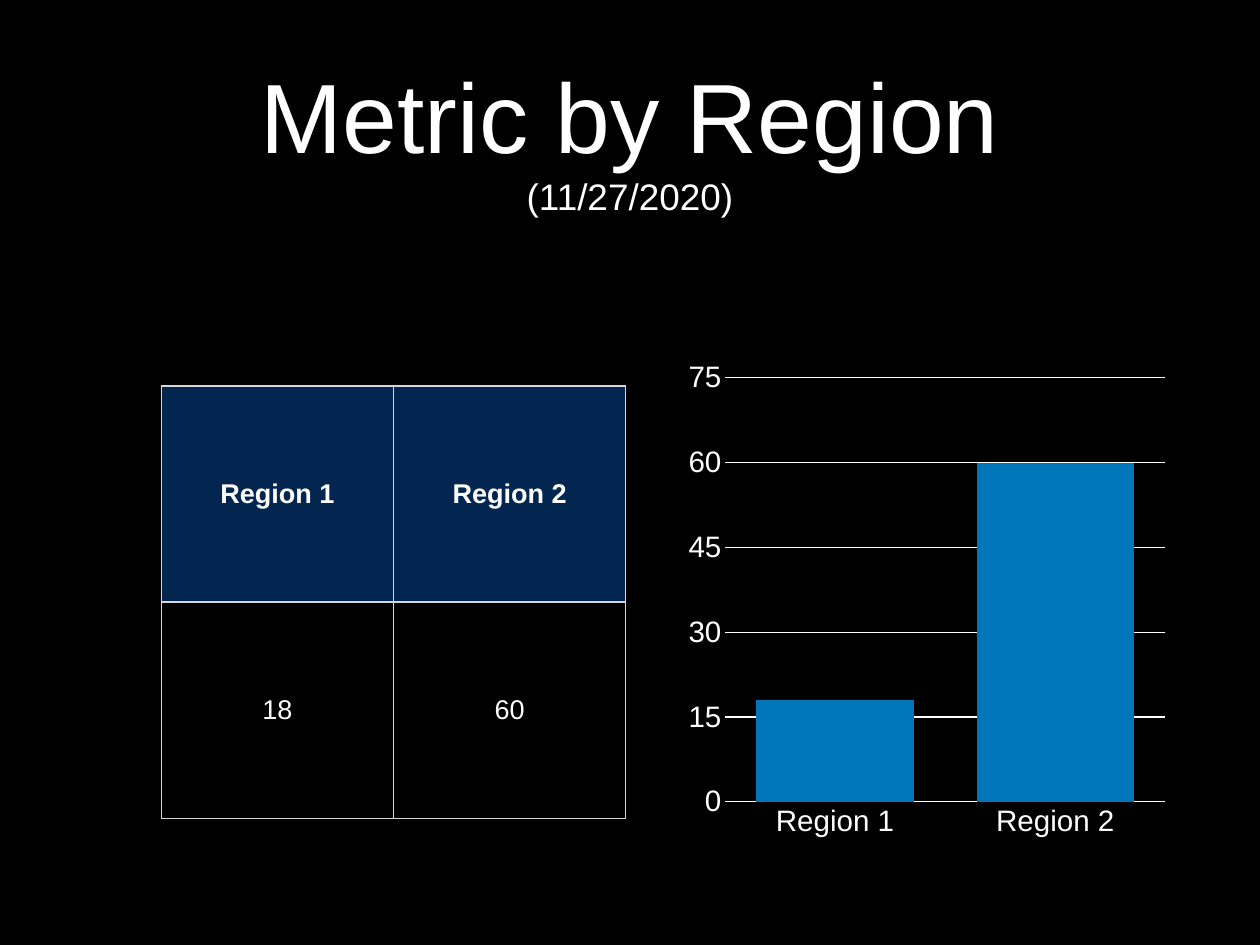
from dataclasses import dataclass

from pptx import Presentation
from pptx.chart.data import CategoryChartData
from pptx.dml.color import RGBColor
from pptx.enum.chart import XL_CHART_TYPE, XL_TICK_MARK
from pptx.enum.text import MSO_ANCHOR, MSO_AUTO_SIZE, PP_ALIGN
from pptx.oxml import parse_xml
from pptx.oxml.ns import nsdecls
from pptx.util import Cm, Pt


@dataclass(frozen=True)
class Theme:
    font: str = "Arial"
    back: RGBColor = RGBColor(0x00, 0x00, 0x00)
    text: RGBColor = RGBColor(0xFF, 0xFF, 0xFF)
    header: RGBColor = RGBColor(0x03, 0x26, 0x50)
    border: RGBColor = RGBColor(0xD6, 0xD6, 0xD6)
    bar: RGBColor = RGBColor(0x00, 0x76, 0xBA)
    title_size: int = 80
    date_size: int = 30
    axis_size: int = 24
    cell_size: int = 22


THEME = Theme()
INSET = Cm(0.15)
SERIES = "Metric"
METRIC = {"Region 1": 18, "Region 2": 60}


def style_font(font, size, bold=False):
    font.name = THEME.font
    font.size = Pt(size)
    font.bold = bold
    font.color.rgb = THEME.text


def add_run(p, text, size, bold=False):
    p.alignment = PP_ALIGN.CENTER
    r = p.add_run()
    r.text = text
    style_font(r.font, size, bold)


def add_title(s, box):
    sp = s.shapes.title
    sp.left, sp.top, sp.width, sp.height = box
    tf = sp.text_frame
    tf.word_wrap = True
    tf.auto_size = MSO_AUTO_SIZE.NONE
    tf.vertical_anchor = MSO_ANCHOR.MIDDLE
    tf.margin_left = tf.margin_right = tf.margin_bottom = INSET
    tf.margin_top = Cm(0.55)
    add_run(tf.paragraphs[0], "Metric by Region", THEME.title_size)
    add_run(tf.add_paragraph(), "(11/27/2020)", THEME.date_size)


def set_borders(cell, widths):
    """Line the cell; widths maps a side (L, R, T, B) to points."""
    tcPr = cell._tc.get_or_add_tcPr()
    for i, (side, width) in enumerate(widths.items()):
        tcPr.insert(i, parse_xml(
            f'<a:ln{side} {nsdecls("a")} w="{Pt(width)}"><a:solidFill>'
            f'<a:srgbClr val="{THEME.border}"/></a:solidFill></a:ln{side}>'))


def add_metric_table(s, box):
    rows = [list(METRIC), [str(v) for v in METRIC.values()]]
    table = s.shapes.add_table(len(rows), len(METRIC), *box).table
    table.first_row = table.horz_banding = False
    for i, row in enumerate(rows):
        is_header = i == 0
        for j, text in enumerate(row):
            cell = table.cell(i, j)
            cell.vertical_anchor = MSO_ANCHOR.MIDDLE
            cell.margin_left = cell.margin_right = INSET
            cell.margin_top = cell.margin_bottom = INSET
            if is_header:
                cell.fill.solid()
                cell.fill.fore_color.rgb = THEME.header
            else:
                cell.fill.background()
            # The rule under the header is heavier
            set_borders(cell, {"L": 1, "R": 1, "T": 1 if is_header else 2,
                               "B": 2 if is_header else 1})
            add_run(cell.text_frame.paragraphs[0], text,
                    THEME.cell_size, is_header)


def style_line(line):
    line.width = Pt(1)
    line.color.rgb = THEME.text


def set_plot_layout(chart, x, y, w, h):
    """Fix the inner plot area, in fractions of the chart."""
    plot_area = chart._chartSpace.chart.plotArea
    for old in plot_area.findall("{*}layout"):
        plot_area.remove(old)
    sizes = "".join(f'<c:{k} val="{v}"/>'
                    for k, v in zip("xywh", (x, y, w, h)))
    plot_area.insert(0, parse_xml(
        f'<c:layout {nsdecls("c")}><c:manualLayout>'
        '<c:layoutTarget val="inner"/><c:xMode val="edge"/>'
        f'<c:yMode val="edge"/>{sizes}</c:manualLayout></c:layout>'))


def add_metric_chart(s, box):
    data = CategoryChartData()
    data.categories = list(METRIC)
    data.add_series(SERIES, list(METRIC.values()))
    chart = s.shapes.add_chart(XL_CHART_TYPE.COLUMN_CLUSTERED, *box, data).chart
    chart.has_title = chart.has_legend = False
    style_font(chart.font, THEME.axis_size)
    set_plot_layout(chart, 0.115, 0.152, 0.88, 0.747)

    # Bars
    plot = chart.plots[0]
    plot.vary_by_categories = False
    plot.gap_width, plot.overlap = 40, -10
    fill = plot.series[0].format.fill
    fill.solid()
    fill.fore_color.rgb = THEME.bar

    # Axes and gridlines
    for axis in (chart.category_axis, chart.value_axis):
        axis.major_tick_mark = axis.minor_tick_mark = XL_TICK_MARK.NONE
        style_font(axis.tick_labels.font, THEME.axis_size)
    style_line(chart.category_axis.format.line)
    value_axis = chart.value_axis
    value_axis.minimum_scale, value_axis.maximum_scale = 0, 75
    value_axis.major_unit = 15
    value_axis.format.line.fill.background()
    value_axis.has_major_gridlines = True
    style_line(value_axis.major_gridlines.format.line)


def main():
    prs = Presentation()
    prs.slide_width, prs.slide_height = Cm(36.12), Cm(27.1)
    s = prs.slides.add_slide(prs.slide_layouts[5])
    s.background.fill.solid()
    s.background.fill.fore_color.rgb = THEME.back
    add_title(s, (Cm(2.64), Cm(0.71), Cm(30.84), Cm(6)))
    add_metric_chart(s, (Cm(19.13), Cm(8.36), Cm(14.35), Cm(16.28)))
    add_metric_table(s, (Cm(4.62), Cm(11.07), Cm(13.32), Cm(12.4)))
    prs.save("out.pptx")


main()
